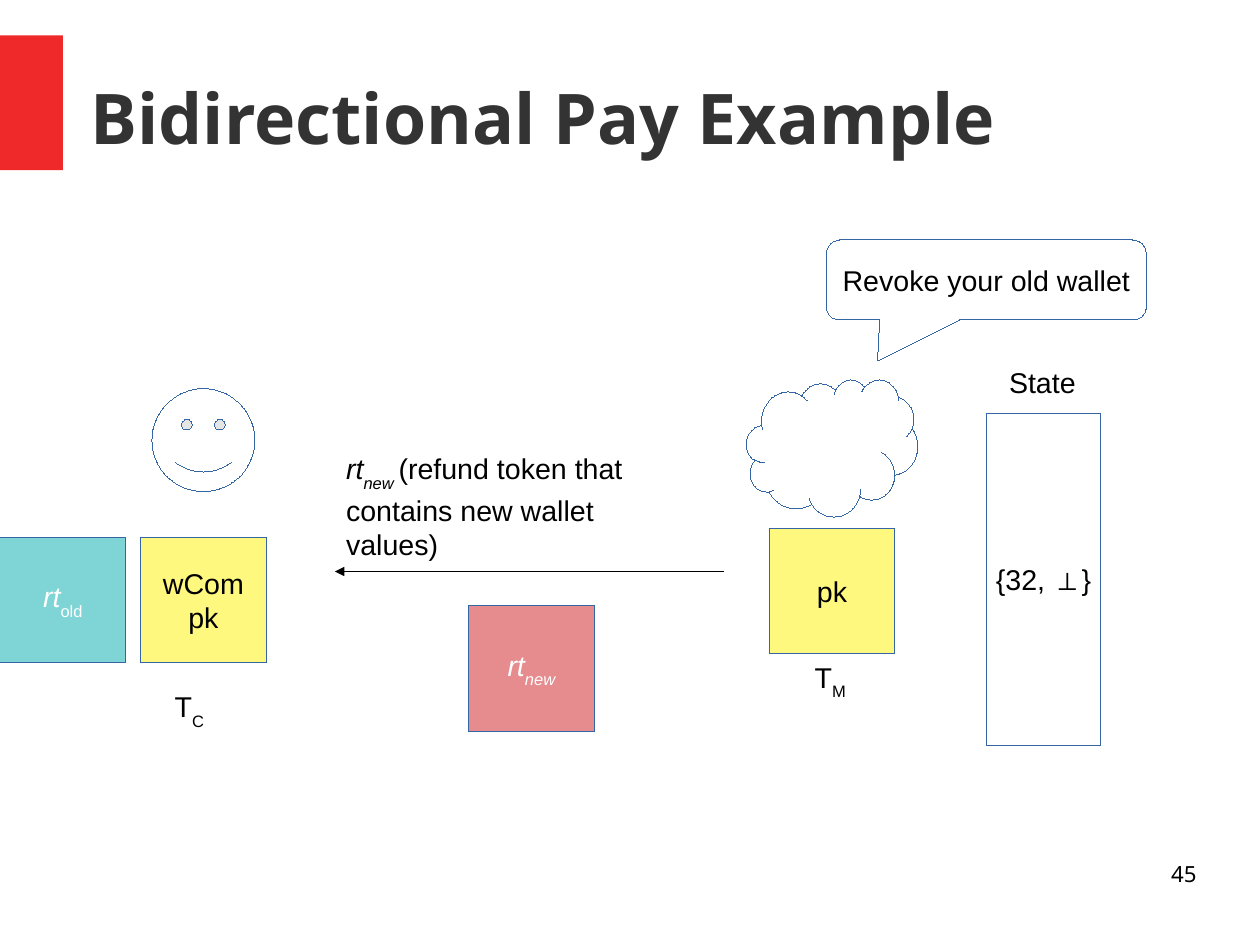
from dataclasses import dataclass

from lxml import etree
from pptx import Presentation
from pptx.dml.color import RGBColor as RGB
from pptx.enum.shapes import MSO_CONNECTOR as CONN, MSO_SHAPE as SHAPE
from pptx.enum.text import MSO_ANCHOR as ANCHOR, PP_ALIGN as ALIGN
from pptx.oxml.ns import qn
from pptx.util import Inches, Pt


@dataclass(frozen=True)
class Theme:
    red: str = "EF2929"
    heading: str = "333333"
    black: str = "000000"
    white: str = "FFFFFF"
    outline: str = "3465A4"
    yellow: str = "FFF200"
    teal: str = "00AAAD"
    crimson: str = "CE181E"
    body_font: str = "Arial"
    title_font: str = "Noto Sans"
    title_size: int = 44
    body_size: int = 18
    number_size: int = 14


def write(tf, lines, font, size, color, align=ALIGN.LEFT, bold=False):
    """Each line is a list of (text, marks) runs; marks: i = italic, s = subscript."""
    for n, runs in enumerate(lines):
        p = tf.paragraphs[0] if n == 0 else tf.add_paragraph()
        p.alignment = align
        for text, marks in runs:
            r = p.add_run()
            r.text = text
            r.font.name, r.font.size = font, Pt(size)
            r.font.bold, r.font.italic = bold, "i" in marks
            r.font.color.rgb = RGB.from_string(color)
            if "s" in marks:
                r.font._element.set("baseline", "-33000")


def hairline(line, color):
    """Colour a line, set it to zero width and return its XML element."""
    line.color.rgb = RGB.from_string(color)
    ln = line._get_or_add_ln()
    ln.set("w", "0")
    return ln


class Slide:
    def __init__(self, prs, theme):
        self.theme = theme
        self.s = prs.slides.add_slide(prs.slide_layouts[6])

    def shape(self, kind, box, fill, lines=(), color=None, alpha=50, adjust=()):
        t = self.theme
        sp = self.s.shapes.add_shape(kind, *map(Inches, box))
        sp.shadow.inherit = False
        for n, value in enumerate(adjust):
            sp.adjustments[n] = value
        sp.fill.solid()
        sp.fill.fore_color.rgb = RGB.from_string(fill)
        if alpha < 100:
            clr = sp._element.spPr.find(qn("a:solidFill"))[0]
            etree.SubElement(clr, qn("a:alpha"), val=str(alpha * 1000))
            hairline(sp.line, t.outline)
        else:
            sp.line.fill.background()
        tf = sp.text_frame
        tf.word_wrap = False
        tf.vertical_anchor = ANCHOR.MIDDLE
        write(tf, lines, t.body_font, t.body_size, color or t.black, ALIGN.CENTER)

    def text(self, box, runs, font=None, size=None, color=None, inset=True,
             anchor=ANCHOR.TOP, **fmt):
        t = self.theme
        tf = self.s.shapes.add_textbox(*map(Inches, box)).text_frame
        tf.word_wrap = True
        tf.vertical_anchor = anchor
        if not inset:
            tf.margin_left = tf.margin_right = tf.margin_top = tf.margin_bottom = 0
        write(tf, [runs], font or t.body_font, size or t.body_size,
              color or t.black, **fmt)

    def arrow(self, x1, y1, x2, y2):
        c = self.s.shapes.add_connector(CONN.STRAIGHT, *map(Inches, (x1, y1, x2, y2)))
        ln = hairline(c.line, self.theme.black)
        etree.SubElement(ln, qn("a:tailEnd"), type="triangle")
        etree.SubElement(c._element.spPr, qn("a:effectLst"))


def main():
    prs = Presentation()
    # 28 by 21 cm page, a custom size
    prs.slide_width, prs.slide_height = Inches(28 / 2.54), Inches(21 / 2.54)
    prs.element.sldSz.attrib.pop("type", None)
    t = Theme()
    s = Slide(prs, t)
    token = 1.1  # side of every square

    # Title with its red marker
    s.shape(SHAPE.RECTANGLE, (0, 0.31, 0.55, 1.18), t.red, alpha=100)
    s.text((0.79, 0.33, 9.68, 1.38), [("Bidirectional Pay Example", "")],
           font=t.title_font, size=t.title_size, color=t.heading, bold=True,
           inset=False, anchor=ANCHOR.MIDDLE)

    # Customer and merchant
    s.shape(SHAPE.SMILEY_FACE, (1.33, 3.4, 0.9, 0.9), t.white, adjust=[0.093])
    s.shape(SHAPE.CLOUD, (6.53, 3.32, 1.5, 1.2), t.white)
    for x, y, party in ((1.43, 5.98, "C"), (7.03, 5.72, "M")):
        s.text((x, y, 0.6, 0.72), [("T", ""), (party, "s")])

    # Keys and refund tokens
    for x, y, fill, color, lines in (
        (1.23, 4.7, t.yellow, t.black, [[("wCom", "")], [("pk", "")]]),
        (6.73, 4.62, t.yellow, t.black, [[("pk", "")]]),
        (0, 4.7, t.teal, t.white, [[("rt", "i"), ("old", "s")]]),
        (4.1, 5.3, t.crimson, t.white, [[("rt", "i"), ("new", "is")]]),
    ):
        s.shape(SHAPE.RECTANGLE, (x, y, token, token), fill, lines, color)

    # Message from merchant to customer
    s.arrow(6.33, 5, 2.93, 5)
    s.text((2.93, 3.9, 3.2, 1.28),
           [("rt", "i"), ("new ", "is"),
            ("(refund token that contains new wallet values)", "")])

    # Merchant state and speech bubble
    s.text((8.73, 3.14, 1, 0.66), [("State", "")])
    s.shape(SHAPE.RECTANGLE, (8.63, 3.62, 1, 2.9), t.white, [[("{32, ⊥}", "")]])
    s.shape(SHAPE.ROUNDED_RECTANGULAR_CALLOUT, (7.23, 2.1, 2.8, 0.7), t.white,
            [[("Revoke your old wallet", "")]], adjust=[-0.34, 1.01, 0.17])

    # Slide number
    s.text((7.9, 7.53, 2.57, 0.57), [("45", "")], font=t.title_font,
           size=t.number_size, inset=False, align=ALIGN.RIGHT)

    prs.save("out.pptx")


if __name__ == "__main__":
    main()
